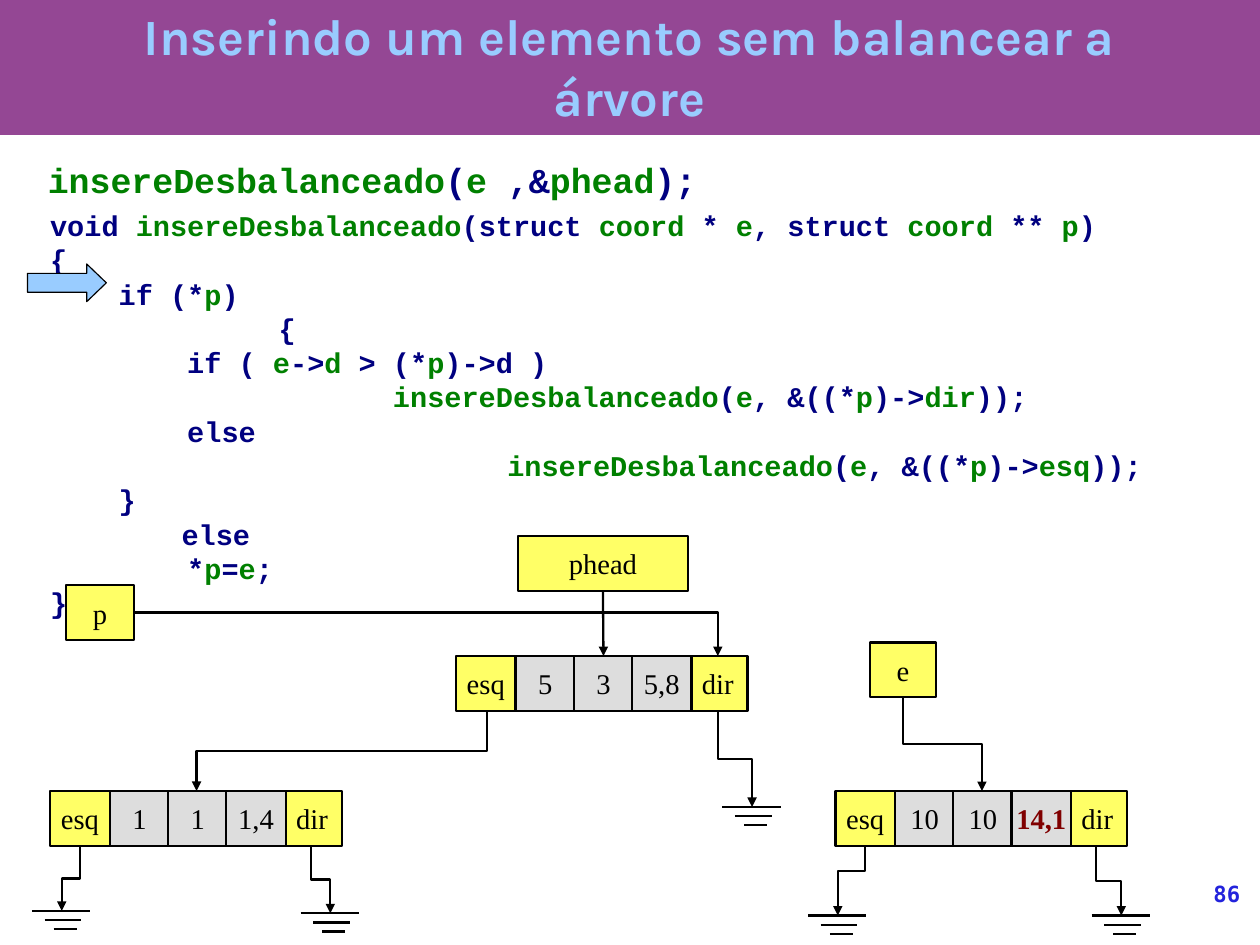
from dataclasses import dataclass

from lxml import etree
from pptx import Presentation
from pptx.dml.color import RGBColor as RGB
from pptx.enum.shapes import MSO_CONNECTOR as CXN, MSO_SHAPE as SHAPE
from pptx.enum.text import MSO_ANCHOR as ANCHOR, PP_ALIGN as ALIGN
from pptx.oxml.ns import qn
from pptx.util import Cm, Inches, Pt


@dataclass(frozen=True)
class Theme:
    band: RGB = RGB(0x94, 0x47, 0x94)
    sky: RGB = RGB(0x99, 0xCC, 0xFF)
    navy: RGB = RGB(0x00, 0x00, 0x80)
    green: RGB = RGB(0x00, 0x80, 0x00)
    yellow: RGB = RGB(0xFF, 0xFF, 0x66)
    grey: RGB = RGB(0xDD, 0xDD, 0xDD)
    black: RGB = RGB(0x00, 0x00, 0x00)
    maroon: RGB = RGB(0x80, 0x00, 0x00)
    page: RGB = RGB(0x23, 0x23, 0xDC)
    title_size: int = 32
    call_size: int = 22
    body_size: int = 18
    page_size: int = 14
    line: float = 1.45
    title_font: str = "Karla"
    code_font: str = "Courier New"
    node_font: str = "Times New Roman"
    page_font: str = "DejaVu Sans Mono"


T = Theme()


def write(p, text, size=T.body_size, font=T.code_font, color=T.navy, bold=True, align=None):
    """Add text to a paragraph; parts between backticks turn green."""
    p.alignment = align
    for i, part in enumerate(text.split("`")):
        if part:
            r = p.add_run()
            r.text = part
            r.font.size, r.font.name, r.font.bold = Pt(size), font, bold
            r.font.color.rgb = T.green if i % 2 else color


def connect(shapes, x1, y1, x2, y2, kind=CXN.STRAIGHT, arrow=False):
    c = shapes.add_connector(kind, Inches(x1), Inches(y1), Inches(x2), Inches(y2))
    c.line.color.rgb, c.line.width = T.black, Pt(T.line)
    if arrow:
        etree.SubElement(c.line._get_or_add_ln(), qn("a:tailEnd"), type="triangle")
    etree.SubElement(c._element.spPr, qn("a:effectLst"))
    return c


prs = Presentation()
prs.slide_width, prs.slide_height = Cm(28), Cm(21)
s = prs.slides.add_slide(prs.slide_layouts[5])

# Title over its band
title = s.shapes.title
band = s.shapes.add_shape(SHAPE.RECTANGLE, 0, Inches(-0.01), prs.slide_width, Inches(1.19))
band.shadow.inherit = False
band.fill.solid()
band.fill.fore_color.rgb = T.band
band.line.fill.background()
title.element.addprevious(band.element)
title.left, title.top, title.width, title.height = map(Inches, (0.55, -0.03, 9.92, 1.21))
tf = title.text_frame
tf.margin_left = tf.margin_right = tf.margin_top = tf.margin_bottom = 0
tf.vertical_anchor, tf.word_wrap = ANCHOR.MIDDLE, True
write(tf.paragraphs[0], "Inserindo um elemento sem balancear a árvore", T.title_size,
      T.title_font, T.sky, align=ALIGN.CENTER)

# Call and function code, each line with its indent in inches
call = s.shapes.add_textbox(Inches(0.32), Inches(1.34), Inches(10.37), Inches(0.46))
call.text_frame.word_wrap = True
write(call.text_frame.paragraphs[0], "`insereDesbalanceado`(`e `,&`phead`);", T.call_size)

code_lines = [
    (0, "void `insereDesbalanceado`(struct `coord `* `e`, struct `coord `** `p`)"),
    (0, "{"),
    (0.6, "if (*`p`)"),
    (2, "{"),
    (1.2, "if ( `e`->`d `> (*`p`)->d )"),
    (3, "`insereDesbalanceado`(`e`, &((*`p`)->`dir`));"),
    (1.2, "else"),
    (4, "`insereDesbalanceado`(`e`, &((*`p`)->`esq`));"),
    (0.6, "}"),
    (1.15, "else"),
    (1.2, "*`p`=`e`;"),
    (0, "}"),
]
code = s.shapes.add_textbox(Inches(0.34), Inches(1.77), Inches(10.37), Inches(3.54))
tf = code.text_frame
tf.word_wrap = True
for i, (indent, text) in enumerate(code_lines):
    p = tf.add_paragraph() if i else tf.paragraphs[0]
    p.line_spacing = Pt(21.6)
    p._p.get_or_add_pPr().set("marL", str(Inches(indent)))
    write(p, text)

# Boxes: three pointers, then the cells of three nodes
BOX_H, CELL_W = 0.48, 0.52
OFFSETS = (0, 0.52, 1.03, 1.54, 2.03)
nodes = [
    (3.99, 5.74, ("esq", "5", "3", "5,8", "dir")),
    (0.44, 6.92, ("esq", "1", "1", "1,4", "dir")),
    (7.31, 6.92, ("esq", "10", "10", "14,1", "dir")),
]
boxes = [
    (4.53, 4.69, 1.49, "phead", T.yellow),
    (7.61, 5.62, 0.58, "e", T.yellow),
    (0.58, 5.12, 0.59, "p", T.yellow),
]
for left, top, values in nodes:
    for i in (1, 0, 4, 2, 3):
        fill = T.yellow if i in (0, 4) else T.grey
        boxes.append((left + OFFSETS[i], top, CELL_W, values[i], fill))

drawn = {}
for x, y, w, text, fill in boxes:
    box = s.shapes.add_shape(SHAPE.RECTANGLE, Inches(x), Inches(y), Inches(w), Inches(BOX_H))
    box.shadow.inherit = False
    box.fill.solid()
    box.fill.fore_color.rgb = fill
    box.line.color.rgb, box.line.width = T.black, Pt(T.line)
    tf = box.text_frame
    tf.word_wrap, tf.vertical_anchor = False, ANCHOR.MIDDLE
    tf.margin_left = tf.margin_right = Inches(0.11)
    tf.margin_top = tf.margin_bottom = Inches(0.06)
    new_value = text == "14,1"
    write(tf.paragraphs[0], text, font=T.node_font, color=T.maroon if new_value else T.black,
          bold=new_value, align=ALIGN.CENTER)
    drawn[text] = box

# Ground symbols under the empty links
grounds = [(6.58, 7.06), (0.54, 7.97), (2.89, 7.99), (7.33, 8.01), (9.81, 8.01)]
for x, y in grounds:
    group = s.shapes.add_group_shape()
    for row, (start, width) in enumerate([(-0.26, 0.51), (-0.15, 0.32), (-0.07, 0.2)]):
        bar_y = y + 0.08 * row
        connect(group.shapes, x + start, bar_y, x + start + width, bar_y)

# Elbow arrows that leave downwards: start, end, share of the drop before the turn
elbows = [
    (4.26, 6.22, 1.72, 6.92, 0.5),
    (6.28, 6.22, *grounds[0], 0.5),
    (0.7, 7.4, *grounds[1], 0.5),
    (2.72, 7.4, *grounds[2], 0.5),
    (7.57, 7.4, *grounds[3], 0.36),
    (9.59, 7.4, *grounds[4], 0.5),
    (7.9, 6.1, 8.59, 6.92, 0.5),
]
for x1, y1, x2, y2, turn in elbows:
    cx, cy = (x1 + x2) / 2, (y1 + y2) / 2
    half_w, half_h = (y2 - y1) / 2, abs(x2 - x1) / 2
    side = 1 if x2 < x1 else -1
    c = connect(s.shapes, cx - side * half_w, cy - half_h, cx + side * half_w, cy + half_h,
                CXN.ELBOW, arrow=True)
    c._element.spPr.find(qn("a:xfrm")).set("rot", str((90 if side == 1 else 270) * 60000))
    guides = c._element.spPr.find(qn("a:prstGeom")).get_or_add_avLst()
    etree.SubElement(guides, qn("a:gd"), name="adj1", fmla=f"val {round(turn * 100000)}")

# Pointer p turns once; phead points straight down
c = connect(s.shapes, 1.17, 5.36, 6.28, 5.74, CXN.ELBOW, arrow=True)
c._element.spPr.find(qn("a:prstGeom")).set("prst", "bentConnector2")
c = connect(s.shapes, 5.27, 5.17, 5.28, 5.74, arrow=True)
c.begin_connect(drawn["phead"], 2)
c.end_connect(drawn["3"], 0)

# Marker of the current code line
marker = s.shapes.add_shape(SHAPE.RIGHT_ARROW, Inches(0.24), Inches(2.31), Inches(0.69), Inches(0.33))
marker.shadow.inherit = False
marker.adjustments[1] = 0.52
marker.fill.solid()
marker.fill.fore_color.rgb = T.sky
marker.line.color.rgb, marker.line.width = T.black, Pt(0)

number = s.shapes.add_textbox(Inches(9.17), Inches(7.7), Inches(1.68), Inches(0.57))
tf = number.text_frame
tf.word_wrap = True
tf.margin_left = tf.margin_right = tf.margin_top = tf.margin_bottom = 0
write(tf.paragraphs[0], "86", T.page_size, T.page_font, T.page, align=ALIGN.RIGHT)

prs.save("out.pptx")
